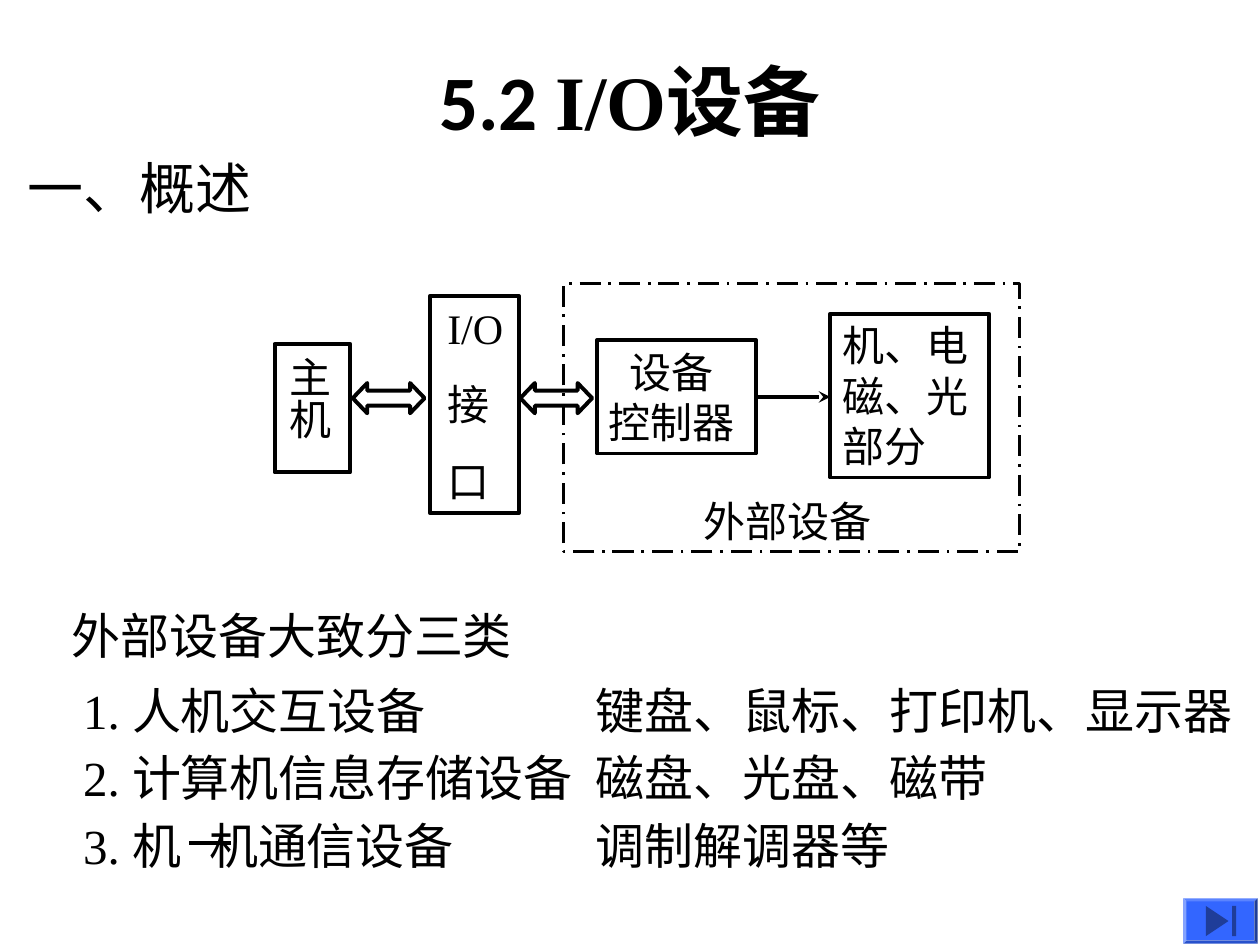
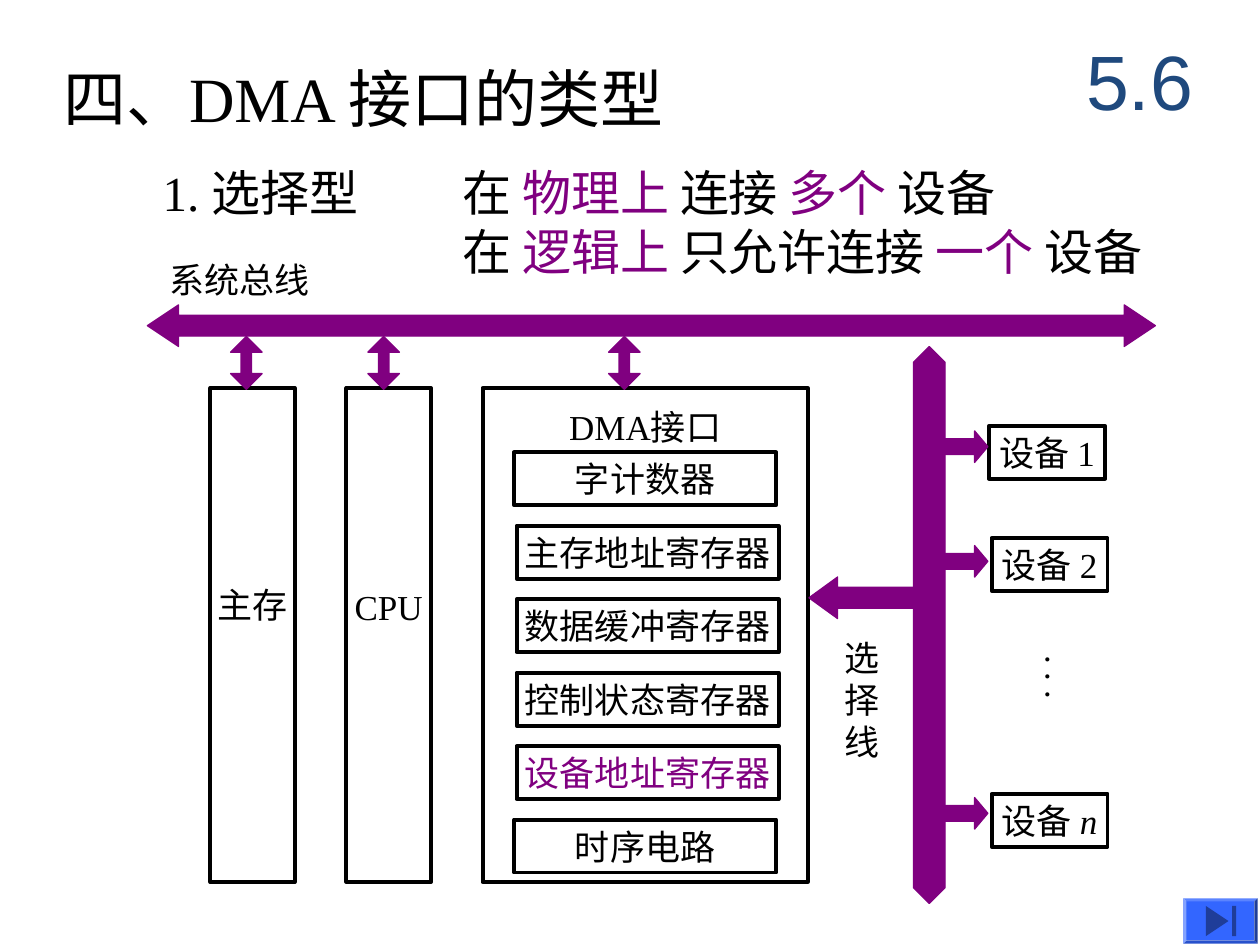
"""Build two lecture slides: I/O devices and the selector type of DMA interface."""
from pptx import Presentation
from pptx.dml.color import RGBColor
from pptx.enum.dml import MSO_LINE
from pptx.enum.shapes import MSO_CONNECTOR, MSO_SHAPE as SHAPE
from pptx.enum.text import MSO_ANCHOR as ANCHOR, MSO_AUTO_SIZE, PP_ALIGN as ALIGN
from pptx.oxml.ns import qn
from pptx.util import Emu, Pt
from lxml.etree import SubElement

PX = 9144
SLIDE_SIZE = (1000, 750)
TWO_CONTENT = 3
BLACK = RGBColor(0x00, 0x00, 0x00)
PURPLE = RGBColor(0x80, 0x00, 0x80)
NAVY = RGBColor(0x1F, 0x49, 0x7D)
BUTTON_BLUE = RGBColor(0x33, 0x66, 0xFF)
ICON_BLUE = RGBColor(0x1F, 0x3D, 0x99)
SERIF = "Times New Roman"
INSETS = (10, 5, 10, 5)

DEVICES_TITLE = [[("5.2 ", {"font": "Calibri"}), "I/O", ("设备", {"font": "Calibri"})]]
CATEGORIES = [["1. 人机交互设备"], ["2. 计算机信息存储设备"], ["3. 机\t机通信设备"]]
EXAMPLES = [["键盘、鼠标、打印机、显示器"], ["磁盘、光盘、磁带"], ["调制解调器等"]]
DIAGRAM_BOXES = [
    ((218, 273, 60, 102), [["主机"]], {"insets": (5, 10, 13, 10), "vertical": True}),
    ((341, 235, 71, 172), [["I/O"], ["接"], ["口"]], {"insets": (14, 5, 6, 5), "gap": 15}),
    ((474, 270, 126, 90), [["设备"], ["控制器"]],
     {"insets": (6, 5, 14, 5), "align": ALIGN.CENTER}),
    ((659, 249, 126, 130), [["机、电"], ["磁、光"], ["部分"]], {}),
]
EXTERNAL_DEVICES = ((447, 225, 362, 213), [["外部设备"]])
HOST_ARROW_LEFTS = (280, 413)

DMA_TITLE = [["四、DMA 接口的类型"]]
HIGHLIGHT = {"color": PURPLE}
SELECTOR_RULES = [
    ["在 ", ("物理上 ", HIGHLIGHT), "连接 ", ("多个 ", HIGHLIGHT), "设备"],
    ["在 ", ("逻辑上 ", HIGHLIGHT), "只允许连接 ", ("一个 ", HIGHLIGHT), "设备"],
]
UNITS = [(167, 67, "主存", 155), (275, 67, "CPU", 157), (383, 258, "DMA接口", 14)]
UNIT_TOP, UNIT_HEIGHT = 308, 392
REGISTERS = [
    (408, "字计数器", BLACK),
    (410, "主存地址寄存器", BLACK),
    (410, "数据缓冲寄存器", BLACK),
    (410, "控制状态寄存器", BLACK),
    (410, "设备地址寄存器", PURPLE),
    (408, "时序电路", BLACK),
]
REGISTER_TOP, REGISTER_STEP = 359, 58.3
DEVICES = [
    (785, 338, 342, ["设备 1"]),
    (787, 427, 433, ["设备 2"]),
    (787, 630, 633, ["设备 ", ("n", {"italic": True})]),
]
BUS_ARROWS = [
    (SHAPE.LEFT_RIGHT_ARROW, (117, 242, 800, 33), 0.75),
    (SHAPE.UP_DOWN_ARROW, (183, 267, 25, 42), 0.33),
    (SHAPE.UP_DOWN_ARROW, (292, 267, 25, 42), 0.33),
    (SHAPE.UP_DOWN_ARROW, (483, 267, 25, 42), 0.33),
    (SHAPE.UP_DOWN_ARROW, (725, 275, 25, 442), 1.42),
    (SHAPE.LEFT_ARROW, (642, 458, 92, 33), 0.69),
]

BUTTON = (939, 713, 59, 36)
PLAY_ICON = [(957, 719), (975, 731), (957, 743)]
BAR_ICON = [(978, 719), (981, 719), (981, 743), (978, 743)]


def emu(lengths):
    """Turn px lengths into EMU."""
    return [Emu(round(length * PX)) for length in lengths]


def write(shape, paragraphs, size, color=BLACK, font=SERIF, bold=False, align=ALIGN.LEFT,
          anchor=ANCHOR.TOP, insets=INSETS, gap=0, vertical=False, tab=None):
    """Fill a shape with paragraphs, each a list of runs."""
    frame = shape.text_frame
    frame.word_wrap = True
    frame.auto_size = MSO_AUTO_SIZE.NONE
    frame.vertical_anchor = anchor
    (frame.margin_left, frame.margin_top,
     frame.margin_right, frame.margin_bottom) = emu(insets)
    if vertical:
        frame._txBody.bodyPr.set("vert", "eaVert")
    for index, runs in enumerate(paragraphs):
        paragraph = frame.add_paragraph() if index else frame.paragraphs[0]
        properties = paragraph._p.get_or_add_pPr()
        properties.set("marL", "0")
        properties.set("indent", "0")
        SubElement(properties, qn("a:buNone"))
        if tab:
            tabs = SubElement(properties, qn("a:tabLst"))
            SubElement(tabs, qn("a:tab"), pos=str(tab * PX), algn="l")
        paragraph.alignment = align
        paragraph.space_before = Pt(gap if index else 0)
        for item in runs:
            text, style = (item, {}) if isinstance(item, str) else item
            run = paragraph.add_run()
            run.text = text
            run.font.size = Pt(size)
            run.font.name = style.get("font", font)
            run.font.bold = bold
            run.font.italic = style.get("italic", False)
            run.font.color.rgb = style.get("color", color)


def add_label(slide, at, paragraphs, size, **style):
    """Add a text box."""
    write(slide.shapes.add_textbox(*emu(at)), paragraphs, size, **style)


def fill_placeholder(shape, at, paragraphs, size, **style):
    """Move a placeholder and write its text."""
    shape.left, shape.top, shape.width, shape.height = emu(at)
    write(shape, paragraphs, size, **style)


def add_figure(slide, kind, at, fill=None, line=BLACK, weight=2.25):
    """Add a preset shape with an optional fill and line."""
    shape = slide.shapes.add_shape(kind, *emu(at))
    paint(shape, fill, line, weight)
    return shape


def paint(shape, fill, line=None, weight=0):
    """Set the fill and line of a shape and drop its shadow."""
    shape.shadow.inherit = False
    if fill is None:
        shape.fill.background()
    else:
        shape.fill.solid()
        shape.fill.fore_color.rgb = fill
    if line is None:
        shape.line.fill.background()
    else:
        shape.line.color.rgb = line
        shape.line.width = Pt(weight)


def add_arrow(slide, kind, at, head, fill=PURPLE, line=PURPLE, weight=0.75):
    """Add a block arrow with a given head length."""
    arrow = add_figure(slide, kind, at, fill, line, weight)
    arrow.adjustments[0] = 0.5
    arrow.adjustments[1] = head


def add_line(slide, start, end, arrowhead=None):
    """Add a straight black line."""
    connector = slide.shapes.add_connector(MSO_CONNECTOR.STRAIGHT, *emu(start + end))
    connector.line.color.rgb = BLACK
    connector.line.width = Pt(2.25)
    if arrowhead:
        SubElement(connector.line._get_or_add_ln(), qn("a:tailEnd"), type=arrowhead)
    SubElement(connector._element.spPr, qn("a:effectLst"))


def add_next_button(slide):
    """Add the bevelled button with its skip-to-end icon."""
    button = add_figure(slide, SHAPE.BEVEL, BUTTON, BUTTON_BLUE, None)
    button.adjustments[0] = 0.07
    builder = slide.shapes.build_freeform(*PLAY_ICON[0], scale=PX)
    builder.add_line_segments(PLAY_ICON[1:], close=True)
    builder.move_to(*BAR_ICON[0])
    builder.add_line_segments(BAR_ICON[1:], close=True)
    paint(builder.convert_to_shape(), ICON_BLUE)


def add_lecture_slide(presentation):
    """Add a slide and return it with its title and two bodies."""
    slide = presentation.slides.add_slide(presentation.slide_layouts[TWO_CONTENT])
    return slide, *slide.placeholders


def build_devices_slide(presentation):
    """Build the overview of I/O devices."""
    slide, title, categories, examples = add_lecture_slide(presentation)
    fill_placeholder(title, (75, 17, 850, 125), DEVICES_TITLE, 44, bold=True,
                     align=ALIGN.CENTER, anchor=ANCHOR.MIDDLE)
    fill_placeholder(categories, (56, 535, 458, 163), CATEGORIES, 28, gap=5, tab=131)
    fill_placeholder(examples, (463, 535, 537, 163), EXAMPLES, 28, gap=5)
    add_line(slide, (150, 669), (183, 669))
    add_label(slide, (12, 117, 258, 64), [["一、概述"]], 32)
    add_label(slide, (47, 476, 483, 57), [["外部设备大致分三类"]], 28)

    at, caption = EXTERNAL_DEVICES
    frame = add_figure(slide, SHAPE.RECTANGLE, at, weight=1.5)
    frame.line.dash_style = MSO_LINE.LONG_DASH_DOT
    write(frame, caption, 24, align=ALIGN.CENTER, anchor=ANCHOR.BOTTOM, insets=(5, 5, 11, 5))
    for at, paragraphs, style in DIAGRAM_BOXES:
        write(add_figure(slide, SHAPE.RECTANGLE, at), paragraphs, 24, **style)
    for left in HOST_ARROW_LEFTS:
        add_arrow(slide, SHAPE.LEFT_RIGHT_ARROW, (left, 304, 57, 24), 0.48, None, BLACK, 2.25)
    add_line(slide, (600, 315), (659, 315), "stealth")
    add_next_button(slide)


def build_dma_slide(presentation):
    """Build the diagram of the selector type of DMA interface."""
    slide, title, kind, rules = add_lecture_slide(presentation)
    fill_placeholder(title, (40, 42, 560, 70), DMA_TITLE, 36)
    fill_placeholder(kind, (119, 124, 220, 57), [["1. 选择型"]], 28)
    fill_placeholder(rules, (357, 124, 610, 104), SELECTOR_RULES, 28)
    add_label(slide, (842, 17, 125, 92), [["5.6"]], 44, color=NAVY, font="Arial",
              align=ALIGN.CENTER, anchor=ANCHOR.MIDDLE)

    for left, width, name, drop in UNITS:
        unit = add_figure(slide, SHAPE.RECTANGLE, (left, UNIT_TOP, width, UNIT_HEIGHT))
        write(unit, [[name]], 20, align=ALIGN.CENTER, insets=(0, drop, 0, 0))
    centred = {"align": ALIGN.CENTER, "anchor": ANCHOR.MIDDLE, "insets": (0, 0, 0, 0)}
    for row, (left, name, color) in enumerate(REGISTERS):
        top = REGISTER_TOP + row * REGISTER_STEP
        register = add_figure(slide, SHAPE.RECTANGLE, (left, top, 208, 42))
        write(register, [[name]], 20, color=color, **centred)
    for arrow_kind, at, head in BUS_ARROWS:
        add_arrow(slide, arrow_kind, at, head)
    for left, top, arrow_top, runs in DEVICES:
        device = add_figure(slide, SHAPE.RECTANGLE, (left, top, 92, 42))
        write(device, [runs], 20, **centred)
        add_arrow(slide, SHAPE.RIGHT_ARROW, (742, arrow_top, 42, 25), 0.42)

    add_label(slide, (125, 200, 140, 44), [["系统总线"]], 20)
    add_label(slide, (660, 500, 52, 110), [["选"], ["择"], ["线"]], 20)
    add_label(slide, (810, 510, 53, 65), [[". . ."]], 20, insets=(5, 10, 5, 10), vertical=True)
    add_next_button(slide)


def main():
    """Build and save the presentation."""
    presentation = Presentation()
    presentation.slide_width, presentation.slide_height = emu(SLIDE_SIZE)
    build_devices_slide(presentation)
    build_dma_slide(presentation)
    presentation.save("out.pptx")


if __name__ == "__main__":
    main()
